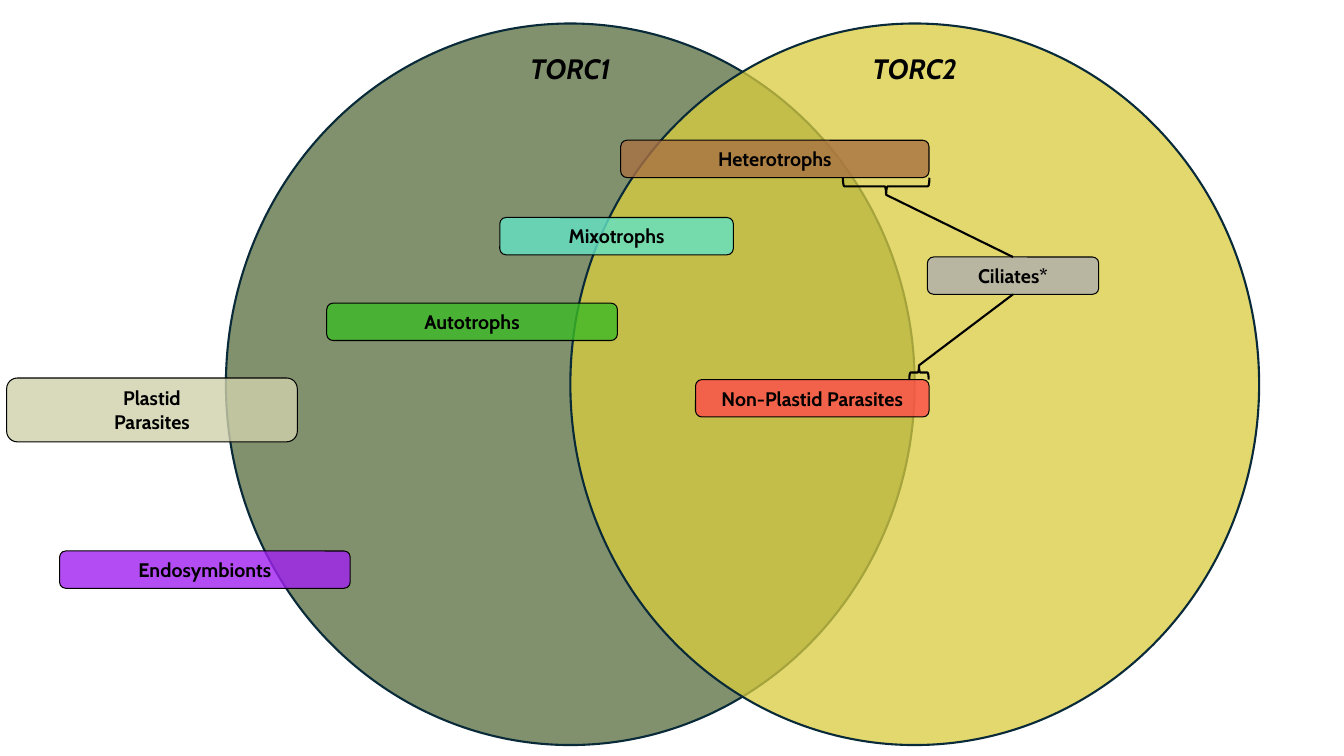
"""Draw a two-set Venn diagram of TORC1 and TORC2 across trophic groups."""
from lxml.etree import SubElement
from pptx import Presentation
from pptx.dml.color import RGBColor
from pptx.enum.shapes import MSO_CONNECTOR as LINK, MSO_SHAPE as SHAPE
from pptx.enum.text import MSO_ANCHOR as ANCHOR, MSO_AUTO_SIZE as AUTO, PP_ALIGN as ALIGN
from pptx.oxml.ns import qn
from pptx.util import Inches, Pt

COLS, ROWS = 160, 90
WIDE, HIGH = Inches(13.33), Inches(7.5)
FONT = "Cabin"
BLACK = RGBColor(0x00, 0x00, 0x00)
NAVY = RGBColor(0x09, 0x2A, 0x39)
OLIVE = RGBColor(0x58, 0x6D, 0x3D)
YELLOW = RGBColor(0xDA, 0xCC, 0x3E)
TEAL = RGBColor(0x63, 0xE3, 0xC5)
BROWN = RGBColor(0xA8, 0x71, 0x42)
GREEN = RGBColor(0x3C, 0xBA, 0x26)
RED = RGBColor(0xFE, 0x4A, 0x49)
SAND = RGBColor(0xD0, 0xD1, 0xAC)
PURPLE = RGBColor(0xA0, 0x20, 0xF0)
GRAY = RGBColor(0xAE, 0xAE, 0xAE)

CIRCLE = (26.9, 2.8, 82, 85.9)
TAG = 4.44
GROUPS = [
    ("Mixotrophs", TEAL, (59.5, 25.9, 27.8, TAG)),
    ("Heterotrophs", BROWN, (73.9, 16.7, 36.7, TAG)),
    ("Autotrophs", GREEN, (38.9, 36.1, 34.6, TAG)),
    ("Non-Plastid Parasites", RED, (82.8, 45.2, 27.8, TAG)),
    ("Plastid\nParasites", SAND, (0.8, 45, 34.6, 7.6)),
    ("Endosymbionts", PURPLE, (7.1, 65.6, 34.6, TAG)),
]
CILIATES = (110.4, 30.6, 20.4, TAG)


def across(cols):
    """Turn grid columns into a length."""
    return round(WIDE * cols / COLS)


def down(rows):
    """Turn grid rows into a length."""
    return round(HIGH * rows / ROWS)


def place(box):
    """Turn a grid box into left, top, width and height."""
    x, y, w, h = box
    return across(x), down(y), across(w), down(h)


def write(shape, text, size=14, italic=False):
    """Fill a shape with centred bold text, one paragraph per line."""
    frame = shape.text_frame
    frame.word_wrap = True
    frame.auto_size = AUTO.SHAPE_TO_FIT_TEXT
    frame.text = text
    for para in frame.paragraphs:
        para.alignment = ALIGN.CENTER
        font = para.font
        font.name, font.size, font.color.rgb = FONT, Pt(size), BLACK
        font.bold, font.italic = True, italic


def draw(slide, kind, box, fill=None, alpha=100, line=BLACK, width=1.5):
    """Add a preset shape with an outline and an optional clear fill."""
    shape = slide.shapes.add_shape(kind, *place(box))
    shape.shadow.inherit = False
    shape.line.color.rgb, shape.line.width = line, Pt(width)
    if fill is None:
        shape.fill.background()
        return shape
    shape.fill.solid()
    shape.fill.fore_color.rgb = fill
    color = shape.element.xpath("./p:spPr/a:solidFill/a:srgbClr")[0]
    SubElement(color, qn("a:alpha")).set("val", str(alpha * 1000))
    return shape


def label(slide, text, fill, box):
    """Add a rounded group label in its box."""
    shape = draw(slide, SHAPE.ROUNDED_RECTANGLE, box, fill, 80, width=0.75)
    shape.text_frame.vertical_anchor = ANCHOR.MIDDLE
    write(shape, text)
    return shape


def title(slide, text, box):
    """Write a set name centred near the top of its circle's box."""
    x, y, w, h = box
    span = 22.1
    spot = (x + (w - span) / 2, y + 2.8, span, 5.3)
    write(slide.shapes.add_textbox(*place(spot)), text, size=20, italic=True)


def venn(slide, box):
    """Draw two circles, the second half a width to the right."""
    x, y, w, h = box
    sets = [("TORC1", OLIVE, box), ("TORC2", YELLOW, (x + w / 2, y, w, h))]
    for text, fill, spot in sets:
        draw(slide, SHAPE.OVAL, spot, fill, 75, NAVY)
    for text, fill, spot in sets:
        title(slide, text, spot)


def brace(slide, tip, depth, span, turn, goal, side):
    """Draw a brace by its tip and join the tip to a side of the goal."""
    x, y = tip
    mid = y + depth / 2 * (1 if turn == 90 else -1)
    box = (x - depth / 2, mid - span / 2, depth, span)
    draw(slide, SHAPE.LEFT_BRACE, box).rotation = turn
    start = across(x), down(y)
    link = slide.shapes.add_connector(LINK.STRAIGHT, *start, *start)
    link.end_connect(goal, side)
    link.line.color.rgb, link.line.width = BLACK, Pt(1.5)
    SubElement(link.element.spPr, qn("a:effectLst"))


def ciliates(slide, box):
    """Draw the ciliates label and its two braces."""
    x, y, w, h = box
    goal = label(slide, "Ciliates*", GRAY, box)
    brace(slide, (x - 4.9, y - 7.4), 2.04, 10.3, 270, goal, 0)
    brace(slide, (x - 1, y + 12.9), 1.7, 2.3, 90, goal, 2)


def main():
    """Build and save the slide."""
    deck = Presentation()
    deck.slide_width, deck.slide_height = WIDE, HIGH
    slide = deck.slides.add_slide(deck.slide_layouts[6])
    venn(slide, CIRCLE)
    for text, fill, box in GROUPS:
        label(slide, text, fill, box)
    ciliates(slide, CILIATES)
    deck.save("out.pptx")


if __name__ == "__main__":
    main()
